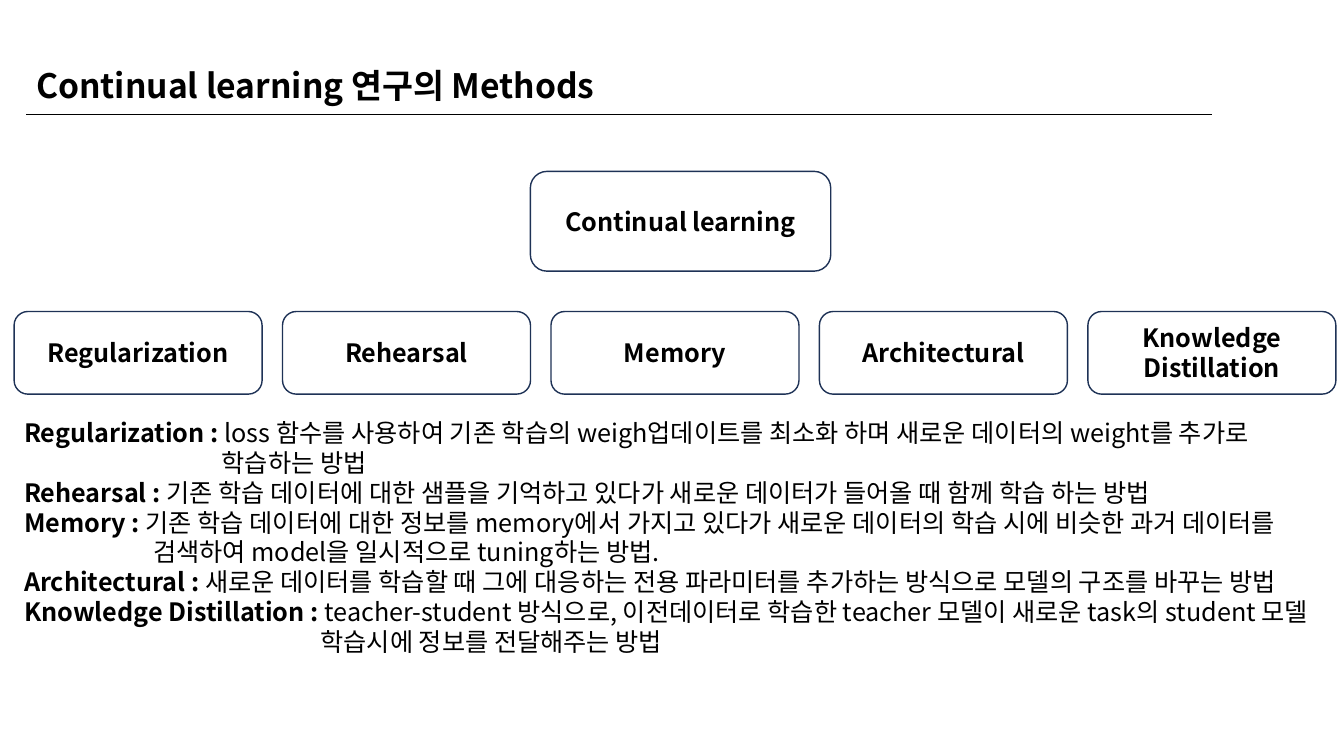
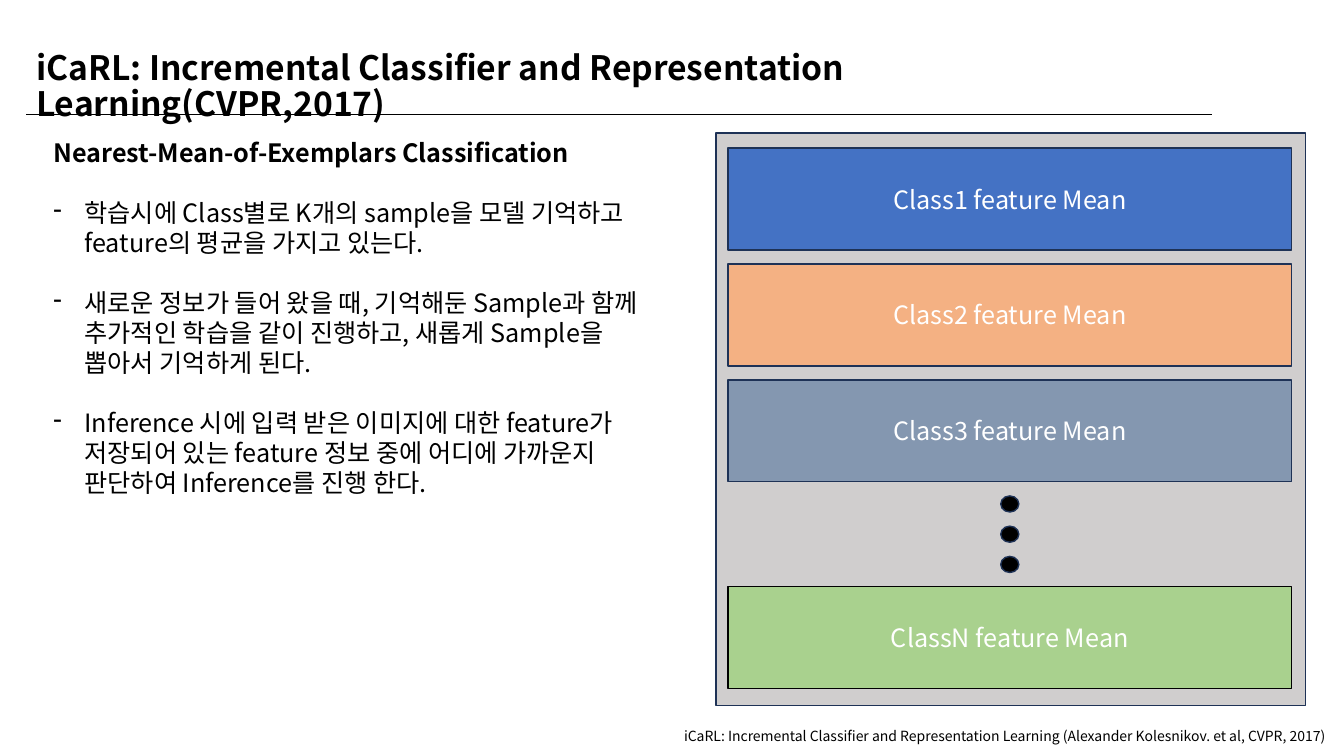
from dataclasses import dataclass

from lxml import etree
from pptx import Presentation
from pptx.dml.color import RGBColor
from pptx.enum import shapes, text
from pptx.oxml import ns
from pptx.util import Inches, Pt


@dataclass(frozen=True)
class Theme:
    font: str = "Noto Sans CJK KR"
    ink: str = "000000"
    white: str = "FFFFFF"
    outline: str = "1E3256"
    panel: str = "D0CECE"
    title: int = 24
    body: int = 18
    note: int = 10
    leading: float = 1.19
    title_leading: float = 1.07


THEME = Theme()
SHAPE = shapes.MSO_SHAPE
ALIGN = text.PP_ALIGN

# Content: methods overview
METHODS_TITLE = "Continual learning 연구의 Methods"
ROOT = "Continual learning"
# name, hanging indent, description
METHODS = [
    ("Regularization", 1.96, "loss 함수를 사용하여 기존 학습의 weigh업데이트를 최소화 하며 "
     "새로운 데이터의 weight를 추가로 학습하는 방법"),
    ("Rehearsal", 0, "기존 학습 데이터에 대한 샘플을 기억하고 있다가 "
     "새로운 데이터가 들어올 때 함께 학습 하는 방법"),
    ("Memory", 1.28, "기존 학습 데이터에 대한 정보를 memory에서 가지고 있다가 새로운 데이터의 "
     "학습 시에 비슷한 과거 데이터를 검색하여 model을 일시적으로 tuning하는 방법."),
    ("Architectural", 1.76, "새로운 데이터를 학습할 때 그에 대응하는 전용 파라미터를 "
     "추가하는 방식으로 모델의 구조를 바꾸는 방법"),
    ("Knowledge Distillation", 2.94, "teacher-student 방식으로, 이전데이터로 학습한 teacher 모델이 "
     "새로운 task의 student 모델 학습시에 정보를 전달해주는 방법"),
]

# Content: iCaRL
ICARL_TITLE = "iCaRL: Incremental Classifier and Representation Learning(CVPR,2017)"
ICARL_HEADING = "Nearest-Mean-of-Exemplars Classification"
ICARL_POINTS = [
    "학습시에 Class별로 K개의 sample을 모델 기억하고 feature의 평균을 가지고 있는다.",
    "새로운 정보가 들어 왔을 때, 기억해둔 Sample과 함께 추가적인 학습을 같이 진행하고, "
    "새롭게 Sample을 뽑아서 기억하게 된다.",
    "Inference 시에 입력 받은 이미지에 대한 feature가 저장되어 있는 feature 정보 중에 "
    "어디에 가까운지 판단하여 Inference를 진행 한다.",
]
DOT = None
# label, fill, outline
CLASS_STACK = [
    ("Class1 feature Mean", "4472C4", THEME.outline),
    ("Class2 feature Mean", "F4B183", THEME.outline),
    ("Class3 feature Mean", "8497B0", THEME.outline),
    DOT, DOT, DOT,
    ("ClassN feature Mean", "A9D18E", THEME.ink),
]
CITATION = ("iCaRL: Incremental Classifier and Representation Learning "
            "(Alexander Kolesnikov. et al, CVPR, 2017)")


# Text helpers
def add_run(paragraph, words, size=THEME.body, bold=False, color=THEME.ink):
    run = paragraph.add_run()
    run.text = words
    run.font.name = THEME.font
    run.font.size = Pt(size)
    run.font.bold = bold
    run.font.color.rgb = RGBColor.from_string(color)
    east_asian = etree.SubElement(run.font._element, ns.qn("a:ea"))
    east_asian.set("typeface", THEME.font)


def add_paragraph(frame, size=THEME.body, align=ALIGN.LEFT, leading=THEME.leading,
                  hang=0, bullet=None, before=0):
    first = frame.paragraphs[0]
    paragraph = frame.add_paragraph() if first.runs else first
    paragraph.alignment = align
    paragraph.line_spacing = Pt(round(size * leading, 1))
    paragraph.space_before = Pt(before)
    props = paragraph._p.get_or_add_pPr()
    if hang:
        props.set("marL", str(Inches(hang)))
        props.set("indent", str(-Inches(hang)))
    if bullet:
        etree.SubElement(props, ns.qn("a:buFontTx"))
        etree.SubElement(props, ns.qn("a:buChar")).set("char", bullet)
    return paragraph


def add_frame(slide, left, top, width, height, anchor=text.MSO_ANCHOR.TOP):
    box = slide.shapes.add_textbox(Inches(left), Inches(top), Inches(width), Inches(height))
    box.text_frame.word_wrap = True
    box.text_frame.vertical_anchor = anchor
    return box.text_frame


# Shape helper
def add_block(slide, kind, left, top, width, height, fill=None, outline=THEME.outline,
              label=None, bold=False, color=THEME.ink):
    block = slide.shapes.add_shape(kind, Inches(left), Inches(top), Inches(width), Inches(height))
    block.shadow.inherit = False
    if fill:
        block.fill.solid()
        block.fill.fore_color.rgb = RGBColor.from_string(fill)
    else:
        block.fill.background()
    block.line.color.rgb = RGBColor.from_string(outline)
    block.line.width = Pt(1)
    if label:
        block.text_frame.word_wrap = True
        block.text_frame.vertical_anchor = text.MSO_ANCHOR.MIDDLE
        add_run(add_paragraph(block.text_frame, align=ALIGN.CENTER), label, bold=bold, color=color)


# Shared title and rule
def add_titled_slide(deck, title):
    slide = deck.slides.add_slide(deck.slide_layouts[6])
    frame = add_frame(slide, 0.26, 0.14, 11.5, 1.45, text.MSO_ANCHOR.MIDDLE)
    add_run(add_paragraph(frame, THEME.title, leading=THEME.title_leading),
            title, THEME.title, bold=True)
    rule = slide.shapes.add_connector(shapes.MSO_CONNECTOR.STRAIGHT, Inches(0.26), Inches(1.13),
                                      Inches(12.02), Inches(1.13))
    rule.line.color.rgb = RGBColor.from_string(THEME.ink)
    rule.line.width = Pt(0.5)
    etree.SubElement(rule._element.spPr, ns.qn("a:effectLst"))
    return slide


def build_methods(deck):
    slide = add_titled_slide(deck, METHODS_TITLE)
    add_block(slide, SHAPE.ROUNDED_RECTANGLE, 5.26, 1.7, 2.98, 0.99, label=ROOT, bold=True)

    # Method row, spread evenly over the text width
    left, span, width = 0.14, 13.11, 2.46
    step = (span - width) / (len(METHODS) - 1)
    definitions = add_frame(slide, left, 4.09, span, 3.13)
    for i, (name, hang, description) in enumerate(METHODS):
        add_block(slide, SHAPE.ROUNDED_RECTANGLE, left + i * step, 3.09, width, 0.82,
                  label=name, bold=True)
        definition = add_paragraph(definitions, hang=hang)
        add_run(definition, f"{name} : ", bold=True)
        add_run(definition, description)


def build_icarl(deck):
    slide = add_titled_slide(deck, ICARL_TITLE)
    points = add_frame(slide, 0.43, 1.32, 6.09, 4.34)
    add_run(add_paragraph(points), ICARL_HEADING, bold=True)
    for point in ICARL_POINTS:
        add_run(add_paragraph(points, hang=0.31, bullet="-", before=THEME.body * THEME.leading),
                point)

    # Class means stacked in the panel, one gap between all parts
    add_block(slide, SHAPE.RECTANGLE, 7.1, 1.32, 5.85, 5.68, fill=THEME.panel)
    left, top, width, gap = 7.22, 1.47, 5.59, 0.14
    bar_height, dot_width, dot_height = 1.01, 0.18, 0.16
    for entry in CLASS_STACK:
        if entry is DOT:
            add_block(slide, SHAPE.OVAL, left + (width - dot_width) / 2, top,
                      dot_width, dot_height, fill=THEME.ink)
            top += dot_height + gap
        else:
            label, fill, outline = entry
            add_block(slide, SHAPE.RECTANGLE, left, top, width, bar_height, fill, outline,
                      label, color=THEME.white)
            top += bar_height + gap

    citation = add_frame(slide, 5.91, 7.17, 7.33, 0.27)
    add_run(add_paragraph(citation, THEME.note, ALIGN.RIGHT), CITATION, THEME.note)


def main():
    deck = Presentation()
    deck.slide_width, deck.slide_height = Inches(13.33), Inches(7.5)
    build_methods(deck)
    build_icarl(deck)
    deck.save("out.pptx")


if __name__ == "__main__":
    main()
